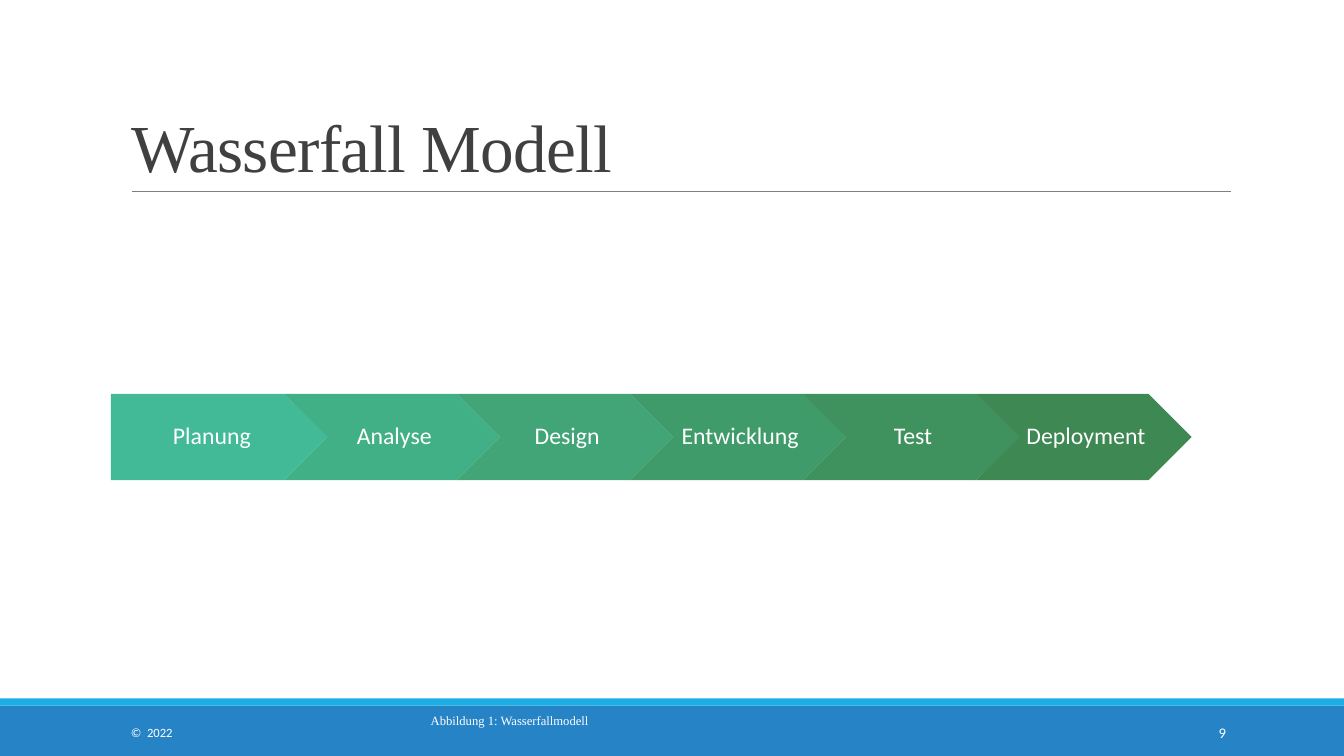
from dataclasses import dataclass

import pptx
import pptx.dml.color
import pptx.enum.shapes
import pptx.enum.text
import pptx.oxml
import pptx.shapes.autoshape
import pptx.shapes.shapetree
import pptx.slide
import pptx.text.text
import pptx.util

Pt = pptx.util.Pt
RGBColor = pptx.dml.color.RGBColor
Kind = pptx.enum.shapes.MSO_SHAPE
Align = pptx.enum.text.PP_ALIGN
Anchor = pptx.enum.text.MSO_ANCHOR

WHITE = RGBColor(0xFF, 0xFF, 0xFF)
DARK = RGBColor(0x40, 0x40, 0x40)
GRAY = RGBColor(0x80, 0x80, 0x80)
BLUE = RGBColor(0x26, 0x83, 0xC6)
CYAN = RGBColor(0x1C, 0xAD, 0xE4)
SANS = "Calibri"
SERIF = "Times New Roman"

WIDTH, HEIGHT = 960, 540
SIDE = 86.4  # left edge of title and footer


@dataclass
class Box:
    left: float
    top: float
    width: float
    height: float

    def span(self) -> tuple:
        return Pt(self.left), Pt(self.top), Pt(self.width), Pt(self.height)


@dataclass
class Step:
    name: str
    color: RGBColor


@dataclass
class Note:
    text: str
    box: Box
    align: Align
    font: str
    size: float


STEPS = [
    Step("Planung", RGBColor(0x42, 0xBA, 0x97)),
    Step("Analyse", RGBColor(0x42, 0xB0, 0x86)),
    Step("Design", RGBColor(0x41, 0xA5, 0x77)),
    Step("Entwicklung", RGBColor(0x40, 0x9B, 0x6A)),
    Step("Test", RGBColor(0x3F, 0x92, 0x5E)),
    Step("Deployment", RGBColor(0x3E, 0x88, 0x53)),
]
FIRST = Box(79.2, 281.3, 154.4, 61.7)
PITCH = 0.8 * FIRST.width  # neighbours overlap by a fifth

NOTES = [
    Note("©  2022", Box(SIDE, 508.6, 194.4, 28.8), Align.LEFT, SANS, 9),
    Note("Abbildung 1: Wasserfallmodell", Box(SIDE, 500.4, 555.1, 28.8),
         Align.CENTER, SERIF, 9),
    Note("9", Box(779.8, 508.6, 103, 28.8), Align.RIGHT, SANS, 10.5),
]


def style(frame: pptx.text.text.TextFrame, font: str, size: float,
          color: RGBColor, align: Align, anchor: Anchor) -> None:
    frame.word_wrap = True
    frame.vertical_anchor = anchor
    for para in frame.paragraphs:
        para.alignment = align
        for run in para.runs:
            run.font.name = font
            run.font.size = Pt(size)
            run.font.color.rgb = color


def draw_shape(shapes: pptx.shapes.shapetree.SlideShapes, kind: Kind,
               box: Box, color: RGBColor) -> pptx.shapes.autoshape.Shape:
    shape = shapes.add_shape(kind, *box.span())
    shape.shadow.inherit = False
    shape.fill.solid()
    shape.fill.fore_color.rgb = color
    shape.line.fill.background()
    return shape


def draw_rule(shapes: pptx.shapes.shapetree.SlideShapes) -> None:
    rule = shapes.add_connector(pptx.enum.shapes.MSO_CONNECTOR.STRAIGHT,
                                Pt(94.3), Pt(136.8), Pt(879), Pt(136.8))
    rule.line.color.rgb = GRAY
    rule.line.width = Pt(0.5)
    props = rule._element.spPr
    props.append(pptx.oxml.parse_xml(
        '<a:effectLst xmlns:a='
        '"http://schemas.openxmlformats.org/drawingml/2006/main"/>'))


def draw_title(slide: pptx.slide.Slide) -> None:
    title = slide.shapes.title
    title.left, title.top, title.width, title.height = Box(
        SIDE, 22.3, 792, 114.5).span()
    frame = title.text_frame
    frame.text = "Wasserfall Modell"
    frame.auto_size = pptx.enum.text.MSO_AUTO_SIZE.NONE
    style(frame, SERIF, 48, DARK, Align.LEFT, Anchor.BOTTOM)
    para = frame.paragraphs[0]
    para.line_spacing = 0.85
    para.runs[0]._r.get_or_add_rPr().set("spc", "-50")


def draw_step(shapes: pptx.shapes.shapetree.SlideShapes, index: int,
              step: Step) -> None:
    kind = Kind.CHEVRON if index else Kind.PENTAGON
    box = Box(FIRST.left + index * PITCH, FIRST.top, FIRST.width, FIRST.height)
    frame = draw_shape(shapes, kind, box, step.color).text_frame
    frame.text = step.name
    frame.margin_left = Pt(5 if index else 7)
    frame.margin_right = Pt(1.6)
    style(frame, SANS, 17, WHITE, Align.CENTER, Anchor.MIDDLE)
    frame.paragraphs[0].line_spacing = 0.9


def draw_note(shapes: pptx.shapes.shapetree.SlideShapes, note: Note) -> None:
    frame = shapes.add_textbox(*note.box.span()).text_frame
    frame.text = note.text
    style(frame, note.font, note.size, WHITE, note.align, Anchor.MIDDLE)


def main() -> None:
    deck = pptx.Presentation()
    deck.slide_width, deck.slide_height = Pt(WIDTH), Pt(HEIGHT)
    slide = deck.slides.add_slide(deck.slide_layouts.get_by_name("Title Only"))
    shapes = slide.shapes

    # Footer bands
    draw_shape(shapes, Kind.RECTANGLE, Box(0, 504, WIDTH, 36), BLUE)
    draw_shape(shapes, Kind.RECTANGLE, Box(0, 498.8, WIDTH, 5.2), CYAN)

    # Title and rule
    draw_rule(shapes)
    draw_title(slide)

    # Footer texts
    for note in NOTES:
        draw_note(shapes, note)

    # Process steps
    for index, step in enumerate(STEPS):
        draw_step(shapes, index, step)

    deck.save("out.pptx")


if __name__ == "__main__":
    main()
